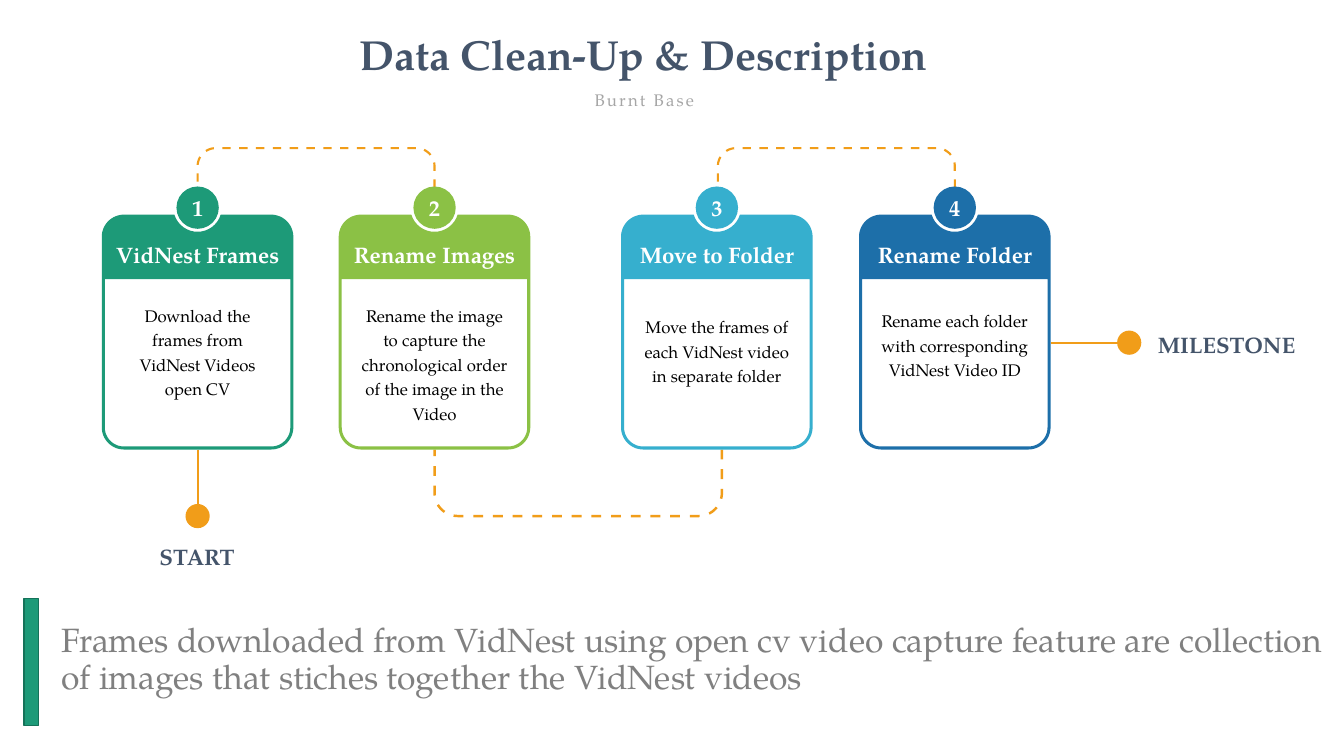
"""Build the data clean-up process slide."""
import dataclasses
import math

import lxml.etree
import pptx
import pptx.dml.color
import pptx.enum.shapes
import pptx.enum.text
import pptx.oxml.ns
import pptx.util

Inches = pptx.util.Inches
Pt = pptx.util.Pt
Shape = pptx.enum.shapes.MSO_SHAPE
Anchor = pptx.enum.text.MSO_ANCHOR
Align = pptx.enum.text.PP_ALIGN
Point = tuple[float, float]

FONT = "TeX Gyre Pagella"
COLORS = {
    "green": "1D9A78", "lime": "8BC145", "sky": "36AFCE", "blue": "1D6FA9",
    "orange": "F19D19", "navy": "44546A", "silver": "A6A6A6", "gray": "808080",
    "edge": "157259", "white": "FFFFFF", "black": "000000",
}
CARD_W, CARD_TOP, CARD_BOTTOM, HEADER_BOTTOM = 1.9, 2.13, 4.46, 2.77
CORNER, BORDER = 0.22, 0.03
BADGE_Y, BADGE_D, NOTCH_R = 2.06, 0.42, 0.24


@dataclasses.dataclass(frozen=True)
class Step:
    """One card of the process."""
    left: float
    color: str
    heading: str
    body: str
    body_top: float
    body_height: float

    @property
    def center(self) -> float:
        """Return the horizontal centre of the card."""
        return self.left + CARD_W / 2


@dataclasses.dataclass(frozen=True)
class Route:
    """A dashed path with two rounded corners between two cards."""
    start: Point
    end: Point
    turn_y: float
    radius: float
    width: float


@dataclasses.dataclass(frozen=True)
class Marker:
    """A dot with its stem and its label."""
    stem_start: Point
    dot: Point
    label: str
    label_box: tuple[float, float, float, float]


STEPS = [
    Step(1.01, "green", "VidNest Frames",
         "Download the frames from VidNest Videos open CV", 2.96, 1.04),
    Step(3.36, "lime", "Rename Images",
         "Rename the image to capture the chronological order of the image in the Video",
         2.96, 1.29),
    Step(6.16, "sky", "Move to Folder",
         "Move the frames of each VidNest video in separate folder", 3.07, 0.79),
    Step(8.52, "blue", "Rename Folder",
         "Rename each folder with corresponding VidNest Video ID", 3.01, 0.79),
]
ROUTES = [
    Route((7.12, 1.97), (9.47, 1.86), 1.47, 0.18, 1.5),
    Route((1.96, 1.97), (4.31, 1.86), 1.47, 0.18, 1.5),
    Route((7.16, 4.46), (4.31, 4.46), 5.12, 0.23, 1.75),
]
MARKERS = [
    Marker((1.96, 4.46), (1.96, 5.12), "START", (1.47, 5.34, 0.97, 0.37)),
    Marker((10.42, 3.4), (11.2, 3.4), "MILESTONE", (11.37, 3.23, 1.59, 0.37)),
]


def rgb(name: str) -> pptx.dml.color.RGBColor:
    """Return a named colour."""
    return pptx.dml.color.RGBColor.from_string(COLORS[name])


def paint(sp, fill: str) -> None:
    """Fill a shape and remove its outline and shadow."""
    sp.shadow.inherit = False
    sp.fill.solid()
    sp.fill.fore_color.rgb = rgb(fill)
    sp.line.fill.background()


def write(sp, text: str, size: float, color: str, bold: bool = False, align=Align.CENTER,
          anchor=Anchor.TOP, wrap: bool = True, margins: Point = (0.1, 0.05)):
    """Write one formatted run and return its paragraph."""
    tf = sp.text_frame
    tf.auto_size = pptx.enum.text.MSO_AUTO_SIZE.NONE
    tf.word_wrap, tf.vertical_anchor = wrap, anchor
    tf.margin_left = tf.margin_right = Inches(margins[0])
    tf.margin_top = tf.margin_bottom = Inches(margins[1])
    p = tf.paragraphs[0]
    p.alignment = align
    r = p.add_run()
    r.text = text
    r.font.name, r.font.size, r.font.bold = FONT, Pt(size), bold
    r.font.color.rgb = rgb(color)
    return p


def add_box(s, left: float, top: float, width: float, height: float):
    """Add an empty text box."""
    return s.shapes.add_textbox(Inches(left), Inches(top), Inches(width), Inches(height))


def add_dot(s, center: Point, diameter: float, color: str):
    """Add a filled circle around a centre."""
    left, top = (Inches(v - diameter / 2) for v in center)
    sp = s.shapes.add_shape(Shape.OVAL, left, top, Inches(diameter), Inches(diameter))
    paint(sp, color)
    return sp


def arc(cx: float, cy: float, radius: float, start: float, end: float) -> list[Point]:
    """Return points along an arc, with angles in degrees clockwise from the right."""
    angles = [math.radians(start + (end - start) * i / 16) for i in range(17)]
    return [(cx + radius * math.cos(a), cy + radius * math.sin(a)) for a in angles]


def add_outline(s, contours: list[list[Point]], close: bool):
    """Add a freeform made of one or more contours."""
    scaled = [[(Inches(x), Inches(y)) for x, y in points] for points in contours]
    builder = s.shapes.build_freeform(*scaled[0][0])
    builder.add_line_segments(scaled[0][1:], close=close)
    for points in scaled[1:]:
        builder.move_to(*points[0])
        builder.add_line_segments(points[1:], close=close)
    return builder.convert_to_shape()


def add_route(s, route: Route) -> None:
    """Draw a dashed route."""
    (x1, y1), (x2, y2), rad = route.start, route.end, route.radius
    dx, dy = math.copysign(rad, x2 - x1), math.copysign(rad, y1 - route.turn_y)
    cy = route.turn_y + dy
    first = [(x1 + dx - dx * math.cos(a), cy - dy * math.sin(a))
             for a in (math.radians(90 * i / 16) for i in range(17))]
    second = [(x1 + x2 - x, y) for x, y in reversed(first)]
    sp = add_outline(s, [[route.start, *first, *second, route.end]], False)
    sp.shadow.inherit = False
    sp.fill.background()
    sp.line.color.rgb = rgb("orange")
    sp.line.width = Pt(route.width)
    ln = sp.line._get_or_add_ln()
    dash = lxml.etree.Element(pptx.oxml.ns.qn("a:custDash"))
    lxml.etree.SubElement(dash, pptx.oxml.ns.qn("a:ds"), d="400000", sp="400000")
    ln.find(pptx.oxml.ns.qn("a:solidFill")).addnext(dash)


def add_marker(s, marker: Marker) -> None:
    """Draw a stem, its dot and its label."""
    line = s.shapes.add_connector(pptx.enum.shapes.MSO_CONNECTOR.STRAIGHT,
                                  *map(Inches, marker.stem_start + marker.dot))
    line.line.color.rgb = rgb("orange")
    line.line.width = Pt(1.5)
    lxml.etree.SubElement(line._element.spPr, pptx.oxml.ns.qn("a:effectLst"))
    add_dot(s, marker.dot, 0.24, "orange")
    write(add_box(s, *marker.label_box), marker.label, 16, "navy", True,
          anchor=Anchor.MIDDLE, wrap=False)


def add_step(s, number: int, step: Step) -> None:
    """Draw a card with its numbered badge, heading and text."""
    x1, x2 = step.left + CORNER, step.left + CARD_W - CORNER
    y1, y2 = CARD_TOP + CORNER, CARD_BOTTOM - CORNER
    inner = CORNER - BORDER
    frame = (arc(x1, y1, CORNER, 180, 270) + arc(step.center, BADGE_Y, NOTCH_R, 163, 17)
             + arc(x2, y1, CORNER, 270, 360) + arc(x2, y2, CORNER, 0, 90)
             + arc(x1, y2, CORNER, 90, 180))
    window = ([(step.left + BORDER, HEADER_BOTTOM),
               (step.left + CARD_W - BORDER, HEADER_BOTTOM)]
              + arc(x2, y2, inner, 0, 90) + arc(x1, y2, inner, 90, 180))
    paint(add_outline(s, [frame, window], True), step.color)
    badge = add_dot(s, (step.center, BADGE_Y), BADGE_D, step.color)
    write(badge, str(number), 16, "white", True, anchor=Anchor.MIDDLE, wrap=False,
          margins=(0, 0))
    write(add_box(s, step.left, 2.34, CARD_W, 0.37), step.heading, 16, "white", True,
          anchor=Anchor.BOTTOM, wrap=False)
    body = add_box(s, step.left + 0.14, step.body_top, 1.62, step.body_height)
    write(body, step.body, 12, "black", margins=(0.05, 0.03)).line_spacing = Pt(17.5)


def main() -> None:
    """Build and save the slide."""
    prs = pptx.Presentation()
    prs.slide_width, prs.slide_height = Inches(13.33), Inches(7.5)
    s = prs.slides.add_slide(prs.slide_layouts.get_by_name("Title Only"))
    title = s.shapes.title
    title.left, title.top, title.width, title.height = map(Inches, (2.33, 0.23, 8.1, 0.61))
    write(title, "Data Clean-Up & Description", 30, "navy", True)
    subtitle = write(add_box(s, 5.78, 0.84, 1.22, 0.3), "Burnt Base", 12, "silver", wrap=False)
    subtitle.runs[0].font._element.set("spc", "150")
    for route in ROUTES:
        add_route(s, route)
    for marker in MARKERS:
        add_marker(s, marker)
    for number, step in enumerate(STEPS, 1):
        add_step(s, number, step)
    bar = s.shapes.add_shape(Shape.RECTANGLE, *map(Inches, (0.24, 5.94, 0.14, 1.26)))
    paint(bar, "green")
    bar.line.color.rgb = rgb("edge")
    bar.line.width = Pt(1)
    summary = write(add_box(s, 0.51, 6.14, 12.82, 1.06),
                    "Frames downloaded from VidNest using open cv video capture feature are "
                    "collection of images that stiches together the VidNest videos",
                    24, "gray", align=Align.LEFT)
    summary.line_spacing = 0.9
    prs.save("out.pptx")


if __name__ == "__main__":
    main()
